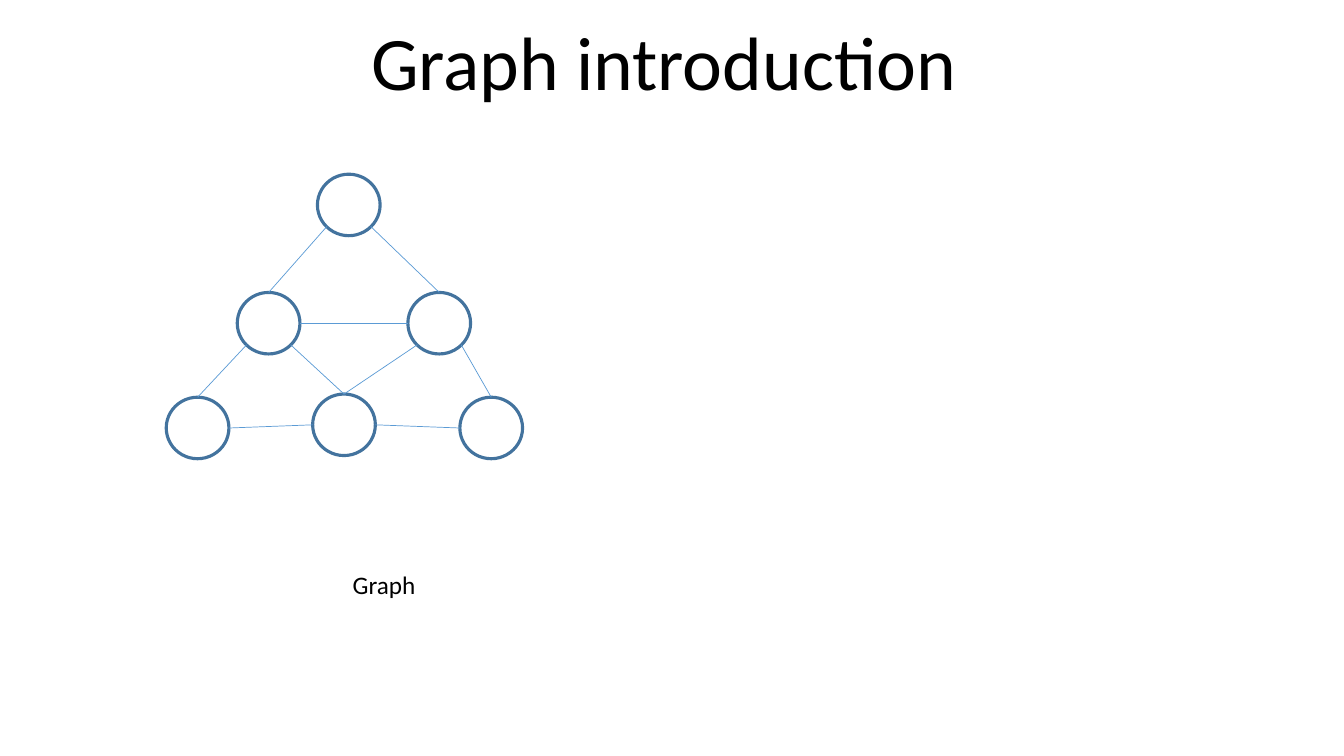
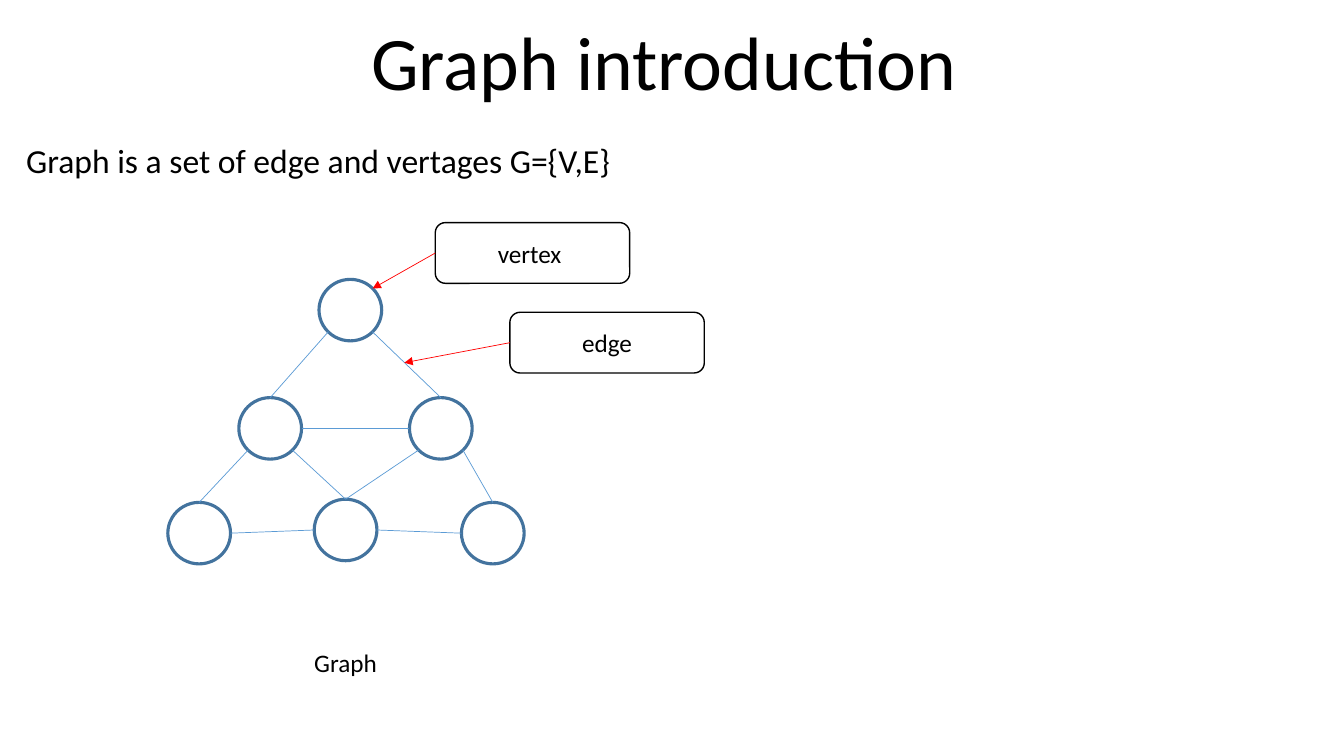
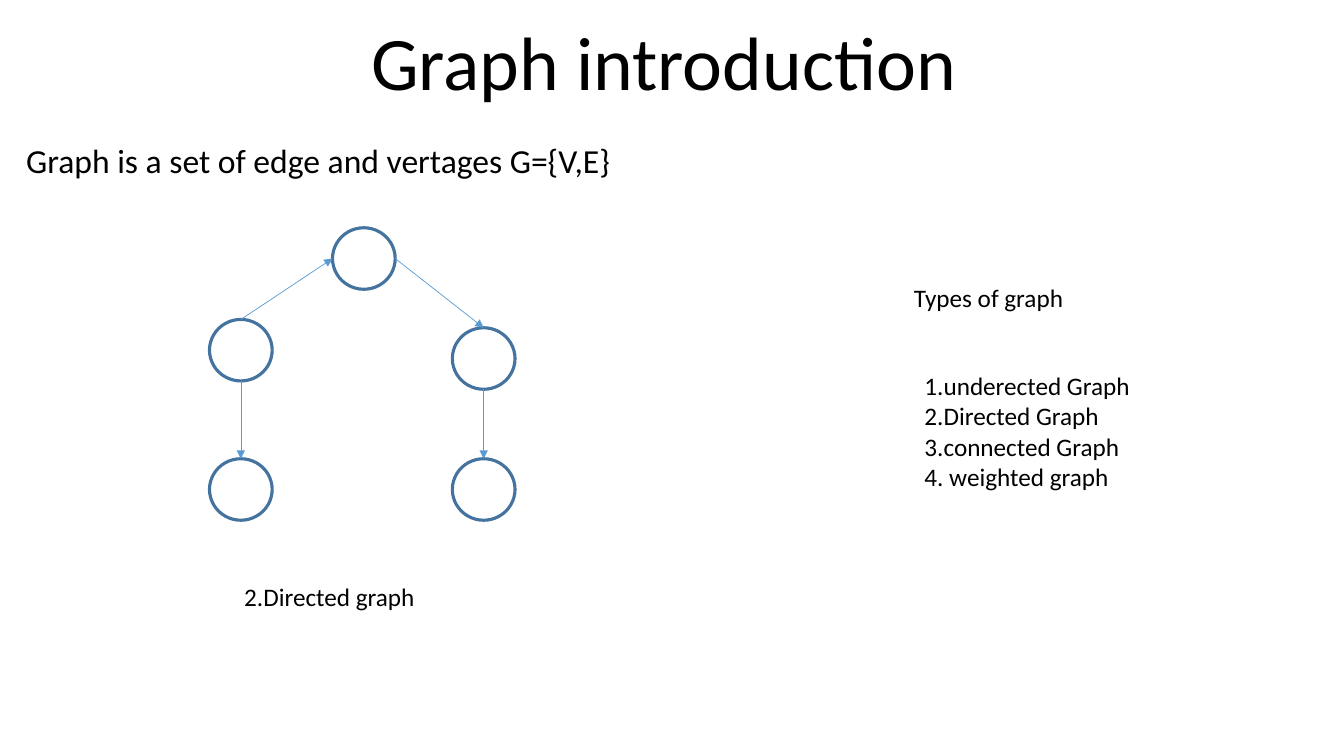
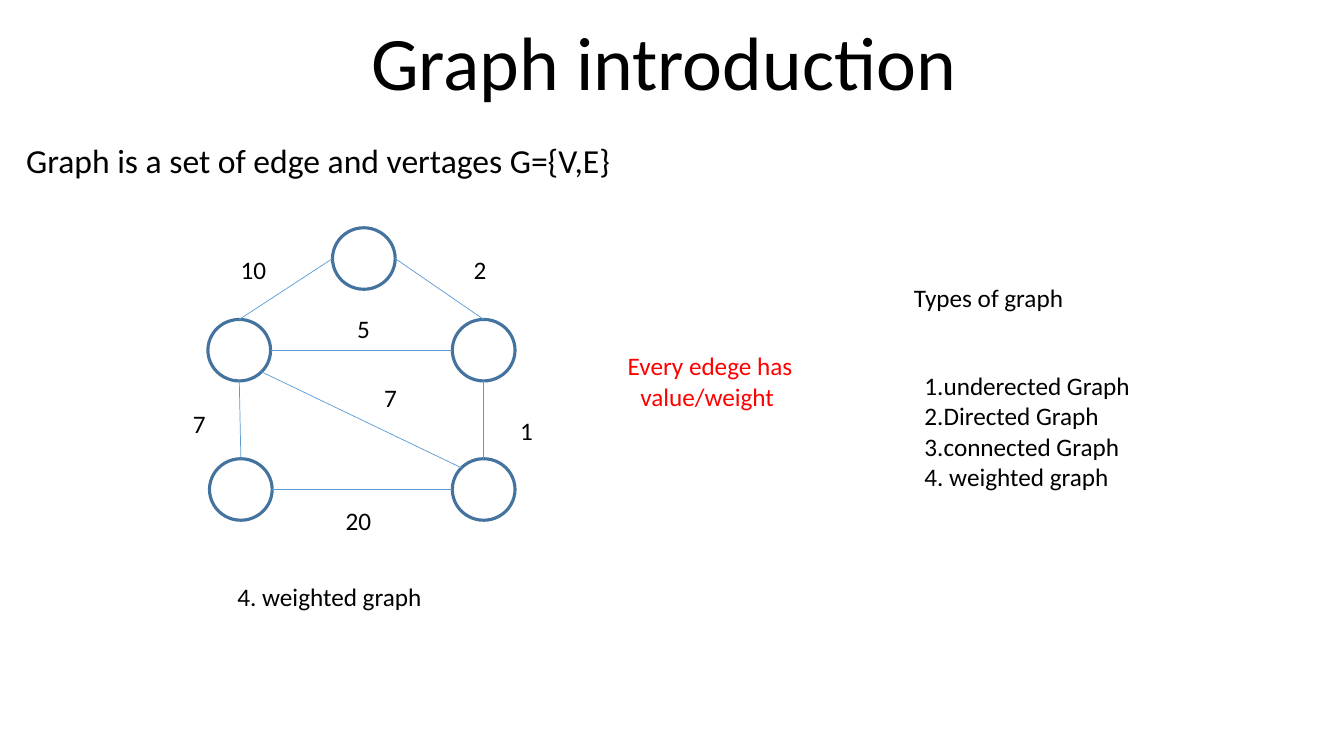
"""Build four slides that introduce graphs, directed graphs and weighted graphs."""
from lxml import etree
from pptx import Presentation
from pptx.dml.color import RGBColor
from pptx.enum.shapes import MSO_CONNECTOR, MSO_SHAPE
from pptx.enum.text import MSO_ANCHOR, PP_ALIGN
from pptx.oxml.ns import qn
from pptx.util import Cm, Pt

OVAL, RECT, ROUNDED = MSO_SHAPE.OVAL, MSO_SHAPE.RECTANGLE, MSO_SHAPE.ROUNDED_RECTANGLE
STRAIGHT = MSO_CONNECTOR.STRAIGHT
LEFT, CENTER = PP_ALIGN.LEFT, PP_ALIGN.CENTER
TOP, MIDDLE, BOTTOM = MSO_ANCHOR.TOP, MSO_ANCHOR.MIDDLE, MSO_ANCHOR.BOTTOM

FONT = "Calibri"
BLACK, WHITE, RED = "000000", "FFFFFF", "FF0000"
NODE_BLUE, EDGE_BLUE = "43739E", "5B9BD5"
NODE_WIDTH, NODE_HEIGHT = 1.58, 1.55
SITES = {"n": (0.5, 0), "s": (0.5, 1), "w": (0, 0.5), "e": (1, 0.5),
         "nw": (0.15, 0.15), "sw": (0.15, 0.85), "se": (0.85, 0.85)}
color = RGBColor.from_string


def add_block(page, kind, place, text="", outline=WHITE, weight=1, ink=BLACK, align=CENTER):
    """Add a white shape with optional text at a place in centimetres."""
    block = page.shapes.add_shape(kind, *map(Cm, place))
    block.shadow.inherit = False
    block.fill.solid()
    block.fill.fore_color.rgb = color(WHITE)
    block.line.color.rgb = color(outline)
    block.line.width = Pt(weight)
    if text:
        frame = block.text_frame
        frame.word_wrap = True
        frame.vertical_anchor = MIDDLE
        frame.text = text
        for para in frame.paragraphs:
            para.alignment = align
            para.font.name = FONT
            para.font.size = Pt(18)
            para.font.color.rgb = color(ink)
    return block


def add_edge(page, begin, end, ink=EDGE_BLUE, arrow=False):
    """Add a thin line between two points in centimetres."""
    edge = page.shapes.add_connector(STRAIGHT, *map(Cm, begin + end))
    edge.line.color.rgb = color(ink)
    edge.line.width = Pt(0.5)
    if arrow:
        etree.SubElement(edge.line._get_or_add_ln(), qn("a:tailEnd"), type="triangle")
    etree.SubElement(edge._element.spPr, qn("a:effectLst"))
    return edge


pyramid = {"apex": (0, 0), "left": (-2.02, 2.98), "right": (2.28, 2.98),
           "low_right": (3.59, 5.62), "low_left": (-3.81, 5.62), "low_mid": (-0.12, 5.54)}
pyramid_edges = ["apex sw left n", "apex se right n", "left sw low_left n",
                 "left se low_mid n", "right se low_right n", "left e right w",
                 "low_left e low_mid w", "low_mid n right sw", "low_mid e low_right w"]
house = {"apex": (8.38, 5.74), "left": (5.28, 8.05), "right": (11.4, 8.26),
         "low_left": (5.28, 11.56), "low_right": (11.4, 11.56)}
house_edges = ["left n apex w", "apex e right n", "left s low_left n", "right s low_right n"]
weighted_house = {**house, "left": (5.24, 8.05), "right": (11.4, 8.05)}
weighted_edges = house_edges + ["low_left e low_right w", "left e right w",
                                "left se low_right nw"]

house_caption = (2.9, 14.07, 10.95, 1.91)
diagrams = [
    (pyramid, (8, 4.39), pyramid_edges, False, RECT, (4.98, 13.28, 9.4, 2.9), "Graph"),
    (pyramid, (8.04, 7.04), pyramid_edges, False, RECT, (4.01, 15.24, 9.4, 2.9), "Graph"),
    (house, (0, 0), house_edges, True, ROUNDED, house_caption, "2.Directed graph "),
    (weighted_house, (0, 0), weighted_edges, False, ROUNDED, house_caption,
     "4. weighted graph "),
]

deck = Presentation()
deck.slide_width, deck.slide_height = Cm(33.87), Cm(19.05)
title_style = ((4.24, 0.69, 25.4, 2.13), "Graph introduction ", 54, CENTER, BOTTOM)
definition_style = ((0.41, 3.52, 33.1, 1.2), "Graph is a set of edge and vertages G={V,E}",
                    24, LEFT, TOP)
pages = []

for nodes, origin, edges, arrow, caption_kind, caption_place, caption in diagrams:
    page = deck.slides.add_slide(deck.slide_layouts[6])
    headings = [title_style, definition_style] if pages else [title_style]
    pages.append(page)
    for place, text, size, align, anchor in headings:
        box = page.shapes.add_textbox(*map(Cm, place))
        box.text_frame.word_wrap = True
        box.text_frame.vertical_anchor = anchor
        para = box.text_frame.paragraphs[0]
        para.text = text
        para.alignment = align
        para.line_spacing = 0.9
        para.font.name = FONT
        para.font.size = Pt(size)
        para.font.color.rgb = color(BLACK)

    for left, top in nodes.values():
        add_block(page, OVAL, (origin[0] + left, origin[1] + top, NODE_WIDTH, NODE_HEIGHT),
                  outline=NODE_BLUE, weight=2.25)
    for edge in edges:
        start, start_site, finish, finish_site = edge.split()
        begin, end = [(origin[0] + nodes[name][0] + SITES[site][0] * NODE_WIDTH,
                       origin[1] + nodes[name][1] + SITES[site][1] * NODE_HEIGHT)
                      for name, site in ((start, start_site), (finish, finish_site))]
        add_edge(page, begin, end, arrow=arrow)
    add_block(page, caption_kind, caption_place, caption)

for text, left, top, target in [("vertex ", 10.97, 5.61, (9.39, 7.27)),
                                ("edge", 12.85, 7.87, (10.19, 9.14))]:
    callout = add_block(pages[1], ROUNDED, (left, top, 4.9, 1.53), text, outline=BLACK)
    pointer = add_edge(pages[1], (left, top), target, RED, arrow=True)
    pointer.begin_connect(callout, 1)

graph_types = "\n".join(["1.underected Graph", "2.Directed Graph",
                         "3.connected Graph", "4. weighted graph"])
for page in pages[2:]:
    add_block(page, ROUNDED, (19.51, 6.53, 10.95, 1.91), "Types of graph ")
    type_list = add_block(page, ROUNDED, (22.81, 8.81, 7.65, 4.88), graph_types, align=LEFT)
    type_list.text_frame.margin_bottom = Cm(0.9)

add_block(pages[3], ROUNDED, (14.35, 8.66, 7.09, 1.88), "Every edege has value/weight ", ink=RED)
for weight, left, top in [("10", 5.59, 6.3), ("2", 11.3, 6.3), ("5", 8.36, 7.8),
                          ("7", 9.04, 9.53), ("1", 12.47, 10.36), ("20", 8.23, 12.62),
                          ("7", 4.22, 10.19)]:
    add_block(pages[3], RECT, (left, top, 1.6, 0.97), weight)

deck.save("out.pptx")
